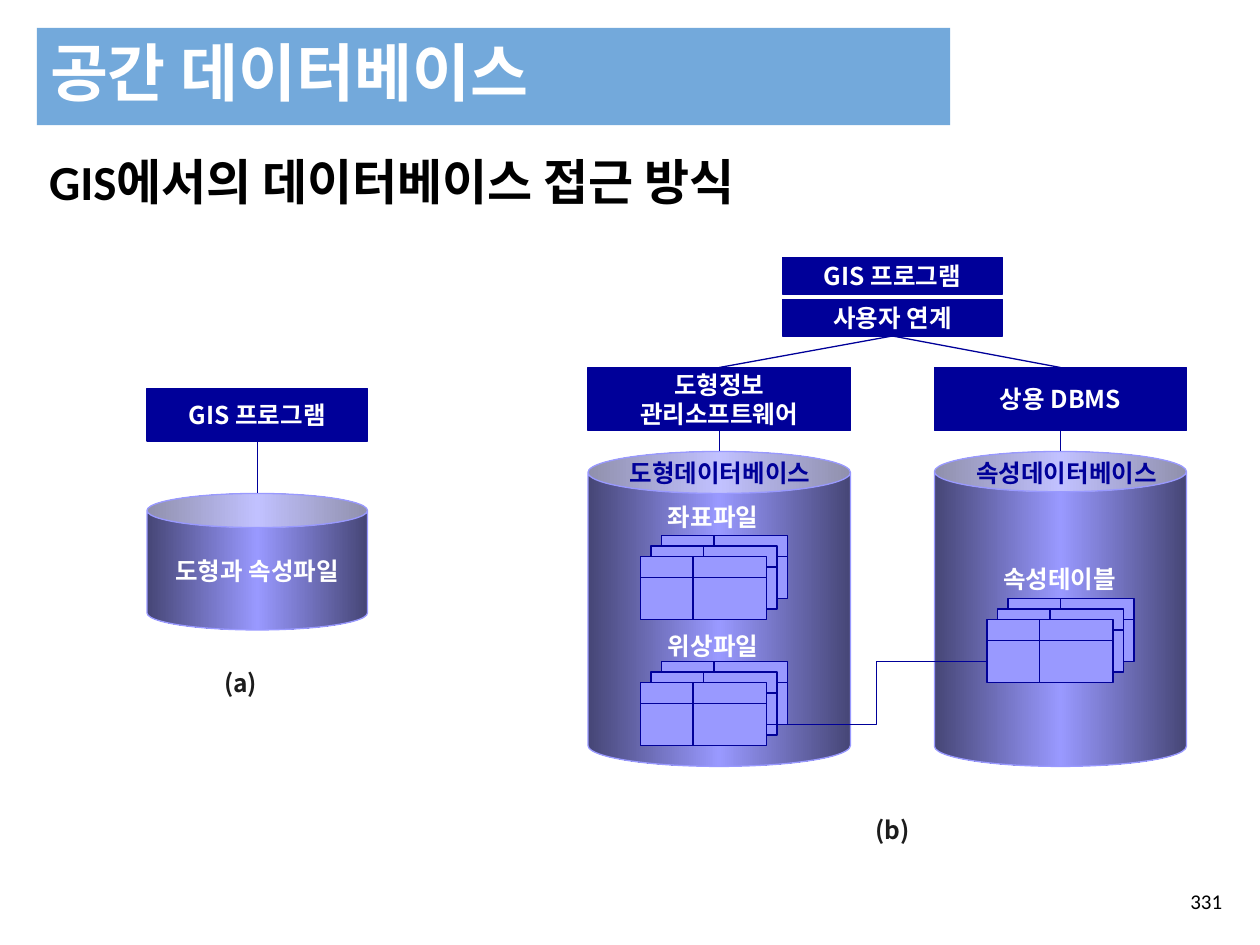
from lxml import etree
from pptx import Presentation
from pptx.dml.color import RGBColor
from pptx.enum.shapes import MSO_CONNECTOR, MSO_SHAPE
from pptx.enum.text import MSO_ANCHOR, PP_ALIGN
from pptx.oxml import parse_xml
from pptx.oxml.ns import nsdecls, qn
from pptx.util import Pt

RECT, CAN = MSO_SHAPE.RECTANGLE, MSO_SHAPE.CAN
STRAIGHT, ELBOW = MSO_CONNECTOR.STRAIGHT, MSO_CONNECTOR.ELBOW
LEFT, CENTER, RIGHT = PP_ALIGN.LEFT, PP_ALIGN.CENTER, PP_ALIGN.RIGHT
TOP, MIDDLE = MSO_ANCHOR.TOP, MSO_ANCHOR.MIDDLE
color = RGBColor.from_string
NAVY, LILAC, WHITE, BLACK, INK = "000099", "9999FF", "FFFFFF", "000000", "1C1C1C"
DIAGRAM_FONT, TEXT_FONT = "Noto Sans CJK KR", "Calibri"

prs = Presentation()
prs.slide_width, prs.slide_height = Pt(720), Pt(540)
slide = prs.slides.add_slide(prs.slide_layouts[6])
shapes = slide.shapes


def add_block(kind, box, fill, outline=None):
    block = shapes.add_shape(kind, *map(Pt, box))
    block.shadow.inherit = False
    block.fill.solid()
    block.fill.fore_color.rgb = color(fill)
    if outline:
        block.line.color.rgb = color(outline)
        block.line.width = Pt(0.75)
    else:
        block.line.fill.background()
    return block


def write(holder, text, ink, size=14, font=DIAGRAM_FONT, bold=True,
          align=CENTER, anchor=MIDDLE, wrap=False):
    """Fill a shape or text box with one paragraph per line of text."""
    frame = holder.text_frame
    frame.word_wrap, frame.vertical_anchor = wrap, anchor
    frame.text = text
    for paragraph in frame.paragraphs:
        paragraph.alignment = align
        paragraph.font.size, paragraph.font.bold = Pt(size), bold
        paragraph.font.color.rgb = color(ink)
        paragraph.font.name = font
        defaults = paragraph._p.pPr.find(qn("a:defRPr"))
        etree.SubElement(defaults, qn("a:ea"), typeface=DIAGRAM_FONT)
    return frame.paragraphs[0]


# Title banner, heading and page number
banner = add_block(RECT, (21, 16, 522, 55.5), "5B9BD5")
banner_color = banner._element.spPr.find(qn("a:solidFill"))[0]
etree.SubElement(banner_color, qn("a:alpha"), val="85000")

title = shapes.add_textbox(Pt(21.5), Pt(16), Pt(522), Pt(55.5))
write(title, "공간 데이터베이스", WHITE, 36, TEXT_FONT,
      align=LEFT, wrap=True).line_spacing = 0.9

heading = shapes.add_textbox(Pt(21), Pt(87), Pt(670), Pt(395))
bullet_properties = heading.text_frame.paragraphs[0]._p.get_or_add_pPr()
bullet_properties.set("marL", str(Pt(18)))
bullet_properties.set("indent", str(-Pt(18)))
etree.SubElement(bullet_properties, qn("a:buFont"), typeface="Arial")
etree.SubElement(bullet_properties, qn("a:buChar"), char="•")
write(heading, "GIS에서의 데이터베이스 접근 방식", BLACK, 28, TEXT_FONT,
      align=LEFT, anchor=TOP, wrap=True).line_spacing = 0.9

page_number = shapes.add_textbox(Pt(543.5), Pt(500.5), Pt(162), Pt(29))
write(page_number, "331", BLACK, 12, TEXT_FONT, bold=False, align=RIGHT, wrap=True)

# Program boxes
for text, box in (
    ("GIS 프로그램", (84, 222, 126, 30)),
    ("GIS 프로그램", (447, 147, 126, 21)),
    ("사용자 연계", (447, 171, 126, 21)),
    ("상용 DBMS", (534, 210, 144, 36)),
    ("도형정보\n관리소프트웨어", (336, 210, 150, 36)),
):
    write(add_block(RECT, box, NAVY, NAVY), text, WHITE)

# Database cylinders, shaded darker towards both sides
SHADE = f'<a:srgbClr val="{LILAC}"><a:gamma/><a:shade val="46275"/><a:invGamma/></a:srgbClr>'
GRADIENT = (
    f'<a:gradFill rotWithShape="1" {nsdecls("a")}><a:gsLst>'
    f'<a:gs pos="0">{SHADE}</a:gs>'
    f'<a:gs pos="50000"><a:srgbClr val="{LILAC}"/></a:gs>'
    f'<a:gs pos="100000">{SHADE}</a:gs>'
    '</a:gsLst><a:lin ang="0" scaled="1"/></a:gradFill>'
)
for text, lid, box in (
    ("도형과 속성파일", 0.25, (84, 282, 126, 78)),
    ("", 0.16, (336, 258, 150, 180)),
    ("", 0.16, (534, 258, 144, 180)),
):
    cylinder = add_block(CAN, box, LILAC, LILAC)
    cylinder.adjustments[0] = lid
    properties = cylinder._element.spPr
    properties.replace(properties.find(qn("a:solidFill")), parse_xml(GRADIENT))
    if text:
        write(cylinder, text, WHITE)

# Stacks of three tables, back to front, each with two columns and two rows
for left, top in ((366, 318), (366, 390), (564, 354)):
    for depth in (12, 6, 0):
        for column, width in ((0, 30), (30, 42)):
            for row, height in ((0, 12), (12, 24)):
                cell = (left + depth + column, top - depth + row, width, height)
                add_block(RECT, cell, LILAC, NAVY)

# Captions
for text, ink, left, top, width in (
    ("좌표파일", WHITE, 372, 283.5, 71),
    ("도형데이터베이스", NAVY, 348, 258, 127),
    ("속성데이터베이스", NAVY, 546, 258, 127),
    ("위상파일", WHITE, 372, 357, 71),
    ("속성테이블", WHITE, 563, 319, 85),
    ("(a)", INK, 120, 378, 35),
    ("(b)", INK, 492.5, 462, 35),
):
    caption = shapes.add_textbox(Pt(left), Pt(top), Pt(width), Pt(24))
    write(caption, text, ink, anchor=TOP)

# Links
for kind, ends in (
    (STRAIGHT, (147, 252, 147, 282)),
    (ELBOW, (438, 414, 564, 378)),
    (STRAIGHT, (411, 246, 411, 258)),
    (STRAIGHT, (606, 246, 606, 258)),
    (STRAIGHT, (510, 192, 411, 210)),
    (STRAIGHT, (510, 192, 606, 210)),
):
    link = shapes.add_connector(kind, *map(Pt, ends))
    link.line.color.rgb = color(NAVY)
    link.line.width = Pt(0.75)
    etree.SubElement(link._element.spPr, qn("a:effectLst"))

prs.save("out.pptx")
